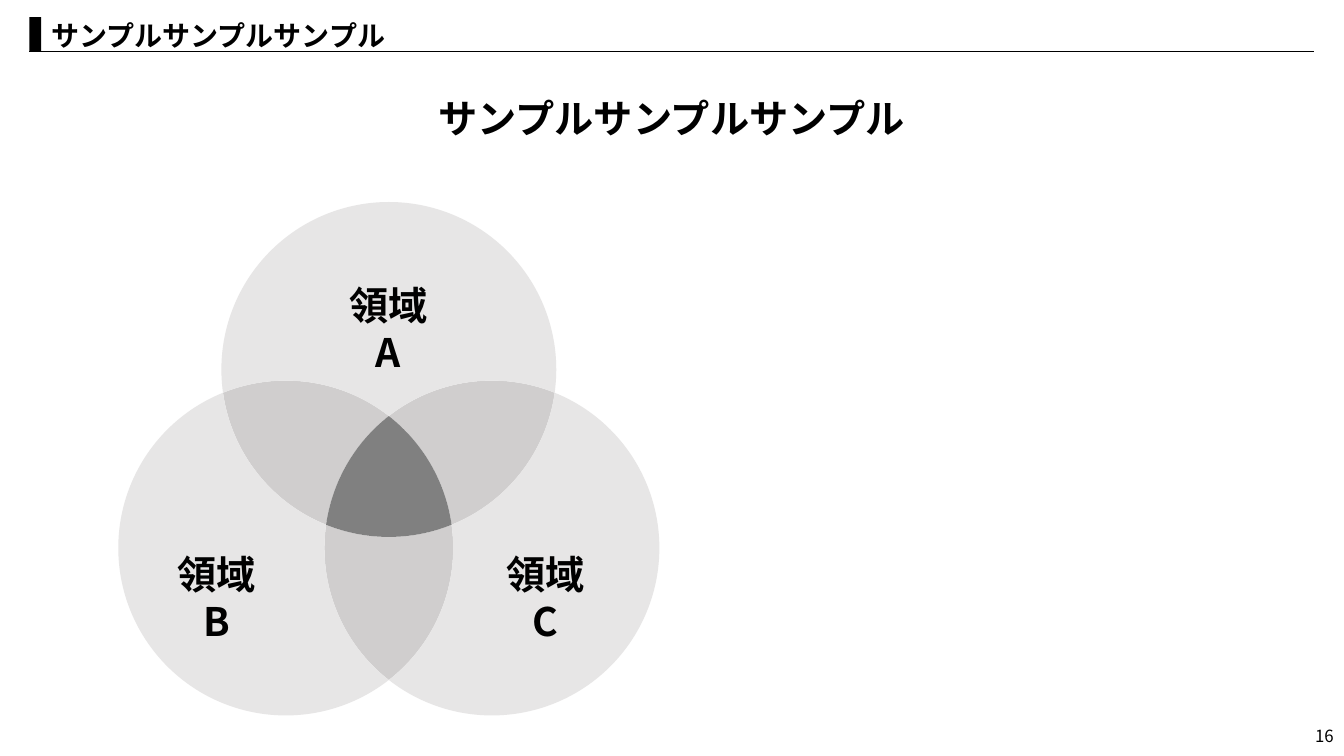
import math
from lxml import etree
from pptx import Presentation
from pptx.dml.color import RGBColor
from pptx.enum import shapes as es, text as et
from pptx.oxml.ns import qn
from pptx.util import Cm, Pt

BLACK = RGBColor(0x00, 0x00, 0x00)
PALE = RGBColor(0xE7, 0xE6, 0xE6)
MID = RGBColor(0xD0, 0xCE, 0xCE)
DARK = RGBColor(0x80, 0x80, 0x80)
FACE = "Noto Sans CJK JP"
LEFT, MIDDLE, RIGHT = et.PP_ALIGN.LEFT, et.PP_ALIGN.CENTER, et.PP_ALIGN.RIGHT
HUB = (9.8, 12.31)
GAP, RAD = 3, 4.22

deck = Presentation()
deck.slide_width, deck.slide_height = Cm(33.87), Cm(19.05)
slide = deck.slides.add_slide(deck.slide_layouts[6])
items = slide.shapes


def write(words, spot, size, bold, align, wrap=True, anchor=et.MSO_ANCHOR.TOP):
    frame = items.add_textbox(*[Cm(v) for v in spot]).text_frame
    frame.word_wrap, frame.vertical_anchor = wrap, anchor
    line = frame.paragraphs[0]
    line.alignment = align
    run = line.add_run()
    run.text = words
    run.font.color.rgb = BLACK
    for key, val in {"size": Pt(size), "bold": bold, "name": FACE}.items():
        setattr(run.font, key, val)
    etree.SubElement(run.font._element, qn("a:ea"), typeface=FACE)


def region(arcs, tint):
    dots = []
    for turn, start, end in arcs:
        way = math.radians(turn)
        mid = [HUB[0] + GAP * math.cos(way), HUB[1] + GAP * math.sin(way)]
        count = math.ceil(abs(end - start) / 50)
        step = math.radians(end - start) / count
        pull = 4 / 3 * math.tan(step / 4)
        for i in range(count):
            a = way + math.radians(start) + i * step
            b = a + step
            for ang, lean in ((a, 0), (a, pull), (b, -pull), (b, 0))[bool(dots):]:
                dots.append((Cm(mid[0] + RAD * (math.cos(ang) - lean * math.sin(ang))),
                             Cm(mid[1] + RAD * (math.sin(ang) + lean * math.cos(ang)))))
    pen = items.build_freeform(*dots[0])
    pen.add_line_segments(dots[1:], close=True)
    part = pen.convert_to_shape()
    lines = list(part._element.iter(qn("a:lnTo")))
    for i in range(0, len(dots) - 1, 3):
        lines[i].tag = qn("a:cubicBezTo")
        for other in lines[i + 1:i + 3]:
            lines[i].append(other[0])
            other.getparent().remove(other)
    part.shadow.inherit = False
    part.fill.solid()
    part.fill.fore_color.rgb = tint
    part.line.fill.background()


write("16", (26.24, 18.03, 7.62, 1.02), 12, False, RIGHT, anchor=et.MSO_ANCHOR.MIDDLE)
write("サンプルサンプルサンプル", (10.69, 2.26, 12.47, 1.45), 28, True, MIDDLE, wrap=False)

rule = items.add_connector(es.MSO_CONNECTOR.STRAIGHT, Cm(0.74), Cm(1.3), Cm(33.12), Cm(1.3))
rule.line.color.rgb = BLACK
rule.line.width = Pt(0.5)
etree.SubElement(rule._element.spPr, qn("a:effectLst"))

write("サンプルサンプルサンプル", (1.04, 0.33, 32.21, 1.12), 20, True, LEFT)

mark = items.add_shape(es.MSO_SHAPE.RECTANGLE, Cm(0.74), Cm(0.43), Cm(0.3), Cm(0.87))
mark.shadow.inherit = False
mark.fill.solid()
mark.fill.fore_color.rgb = BLACK
mark.line.fill.background()

half = math.degrees(math.acos(GAP * math.sqrt(3) / 2 / RAD))
outer, inner = 150 - half, 150 + half
back, edge = 360 - inner, 360 - outer
turns = (-90, 30, 150)

for t in turns:
    region([(t, outer, back), (t + 240, inner, back), (t + 120, inner, edge)], MID)
for t in turns:
    region([(t, -outer, outer), (t + 120, edge, inner), (t + 240, back, outer)], PALE)
region([(t, back, inner) for t in turns], DARK)

for name, x, y in (("A", 8.36, 6.96), ("B", 4.04, 13.74), ("C", 12.33, 13.74)):
    write("領域" + name, (x, y, 2.85, 1.3), 28, True, MIDDLE)

deck.save("out.pptx")
